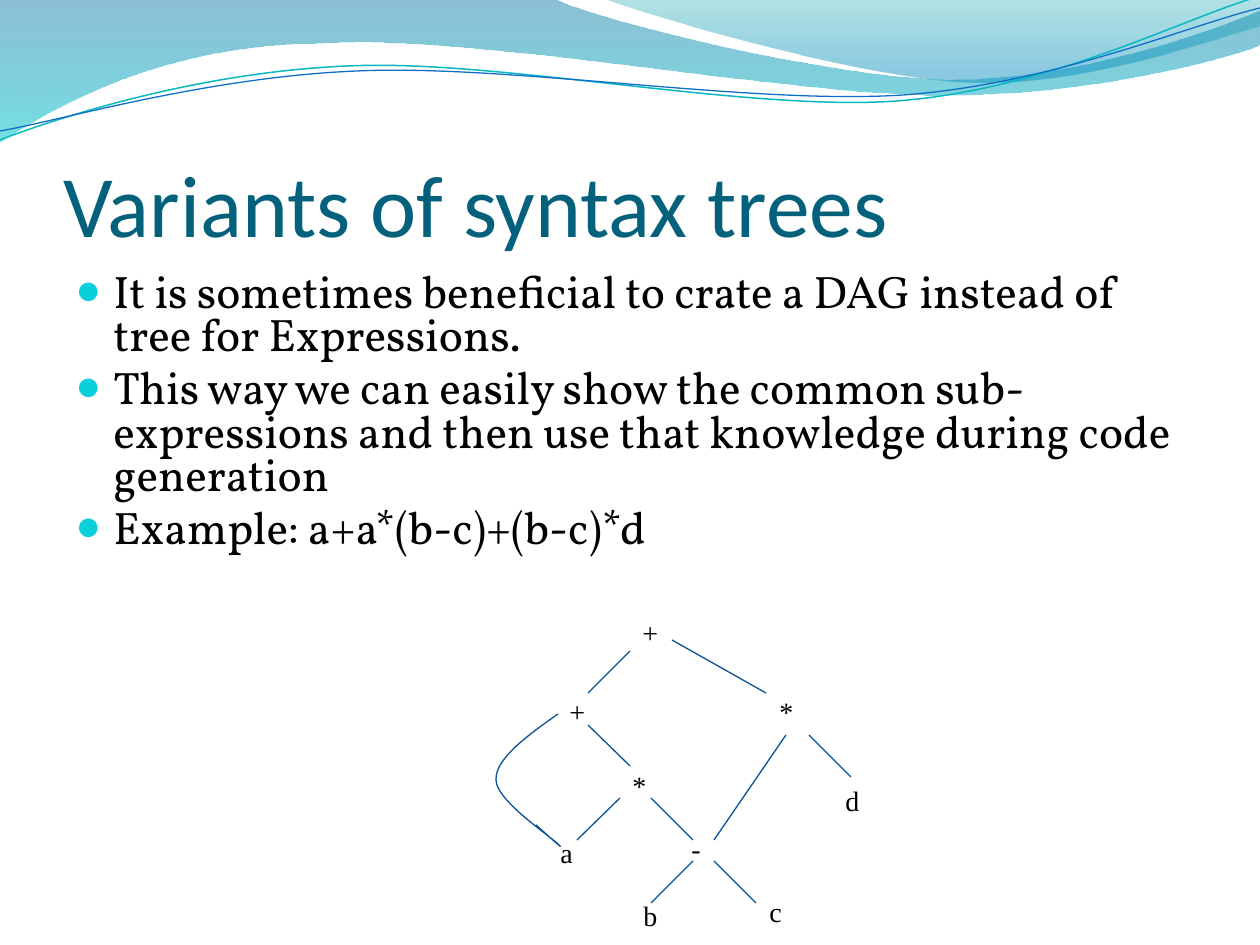
from math import cos, radians, sin

from lxml.etree import SubElement
from pptx import Presentation
from pptx.dml.color import RGBColor
from pptx.enum.shapes import MSO_CONNECTOR
from pptx.enum.text import MSO_ANCHOR, MSO_AUTO_SIZE as AutoSize, PP_ALIGN
from pptx.oxml.ns import qn
from pptx.util import Emu, Pt

EMU_PER_PX = 914400 / 126


def px(length):
    return Emu(round(length * EMU_PER_PX))


def rgb(hex_string):
    return RGBColor.from_string(hex_string)


def turn(point, centre, degrees):
    dx, dy = point[0] - centre[0], point[1] - centre[1]
    c, s = cos(radians(degrees)), sin(radians(degrees))
    return centre[0] + c * dx - s * dy, centre[1] + s * dx + c * dy


class SlideBuilder:
    TITLE = ("Calibri", 50, "04617B")
    BODY = ("Vollkorn", 26, "000000")
    NODE = ("Times New Roman", 16, "000000")
    EDGE = "095295"
    BULLET = "0BD0D9"

    def __init__(self, slide):
        self.slide = slide
        self.shapes = slide.shapes

    def style(self, paragraph, look):
        font_name, size, colour = look
        for run in paragraph.runs:
            run.font.name = font_name
            run.font.size = Pt(size)
            run.font.color.rgb = rgb(colour)

    def title(self, text, *box):
        heading = self.shapes.title
        heading.element.getparent().append(heading.element)
        heading.left, heading.top, heading.width, heading.height = map(px, box)
        frame = heading.text_frame
        frame.text = text
        frame.auto_size = AutoSize.NONE
        frame.vertical_anchor = MSO_ANCHOR.BOTTOM
        frame.margin_left = frame.margin_right = frame.margin_bottom = 0
        frame.margin_top = px(6)
        frame.paragraphs[0].alignment = PP_ALIGN.LEFT
        self.style(frame.paragraphs[0], self.TITLE)

    def bullets(self, points, *box):
        body = self.shapes.add_textbox(*map(px, box))
        frame = body.text_frame
        frame.word_wrap = True
        frame.text = "\n".join(points)
        for paragraph in frame.paragraphs:
            paragraph.line_spacing = 0.8
            self.style(paragraph, self.BODY)
        for properties in body.element.iter(qn("a:pPr")):
            properties.set("marL", str(px(38)))
            properties.set("indent", str(px(-38)))
            SubElement(SubElement(properties, qn("a:spcBef")), qn("a:spcPct"), val="20000")
            SubElement(SubElement(properties, qn("a:buClr")), qn("a:srgbClr"), val=self.BULLET)
            SubElement(properties, qn("a:buSzPct"), val="95000")
            SubElement(properties, qn("a:buFont"), typeface="Times New Roman")
            SubElement(properties, qn("a:buChar"), char="●")

    def node(self, symbol, left, top, width):
        frame = self.shapes.add_textbox(px(left), px(top), px(width), px(47)).text_frame
        frame.word_wrap = False
        frame.auto_size = AutoSize.SHAPE_TO_FIT_TEXT
        frame.text = symbol
        self.style(frame.paragraphs[0], self.NODE)

    def edge(self, *ends):
        line = self.shapes.add_connector(MSO_CONNECTOR.STRAIGHT, *map(px, ends))
        line.line.color.rgb = rgb(self.EDGE)
        line.line.width = Pt(0.75)
        SubElement(line.element.spPr, qn("a:effectLst"))

    def outline(self, start, segments, closed, centre=(0, 0), tilt=0):
        points = [start]
        for segment in segments:
            points.extend(zip(segment[::2], segment[1::2]))
        corners = [tuple(map(px, turn(point, centre, -tilt))) for point in points]
        builder = self.shapes.build_freeform(*corners[0])
        builder.add_line_segments(corners[1:], close=closed)
        shape = builder.convert_to_shape()
        shape.shadow.inherit = False
        shape.rotation = tilt
        steps = iter(list(shape.element.iter(qn("a:lnTo"))))
        for segment in segments:
            group = [next(steps) for _ in segment[::2]]
            if len(group) == 3:
                group[0].addprevious(bend := group[0].makeelement(qn("a:cubicBezTo")))
                for step in group:
                    bend.append(step[0])
                    step.getparent().remove(step)
        return shape

    def curve(self, start, segments, colour, width=0.75, centre=(0, 0), tilt=0):
        shape = self.outline(start, segments, False, centre, tilt)
        shape.fill.background()
        shape.line.color.rgb = rgb(colour)
        shape.line.width = Pt(width)

    def wave(self, start, segments, stops):
        shape = self.outline(start, segments, True)
        shape.line.fill.background()
        shape.fill.gradient()
        shape.fill.gradient_angle = 270
        for stop, (position, colour, _) in zip(shape.fill.gradient_stops, stops):
            stop.position = position
            stop.color.rgb = rgb(colour)
        for colour_xml, (_, _, opacity) in zip(shape.element.spPr.iter(qn("a:srgbClr")), stops):
            SubElement(colour_xml, qn("a:alpha"), val=str(opacity * 1000))


def draw_header(page):
    page.wave(
        (0, -1),
        [(554, -1), (600, 21, 837, 79, 955, 79), (1075, 79, 1207, 33, 1260, 11),
         (1261, 45), (1239, 55, 1096, 96, 940, 95), (784, 95, 481, 35, 324, 43),
         (163, 44, 58, 105, -1, 142), (0, -1)],
        [(0, "0074A1", 45), (1, "00C6CF", 55)],
    )
    page.wave(
        (604, -1),
        [(641, 14, 859, 78, 969, 82), (1079, 87, 1211, 40, 1260, 26),
         (1260, 0), (604, -1)],
        [(0, "00A1A9", 30), (0.8, "008BBF", 45)],
    )
    page.curve(
        (0, 140),
        [(60, 117, 199, 72, 349, 66), (498, 59, 747, 112, 898, 101),
         (1050, 89, 1182, 19, 1257, -3)],
        "0AB8BF", 0.85, (629, 72), -2.7,
    )
    page.curve(
        (0, 131),
        [(59, 121, 207, 77, 357, 71), (508, 64, 752, 105, 903, 95),
         (1053, 84, 1186, 26, 1260, 8)],
        "0F6FC6", 0.75, (629, 74), -2.7,
    )


def draw_dag(page):
    nodes = [
        ("+", 630, 609, 42), ("+", 557, 688, 42), ("*", 767, 688, 39),
        ("*", 620, 762, 39), ("-", 679, 825, 35), ("b", 631, 892, 39),
        ("c", 757, 888, 38), ("a", 548, 829, 38), ("d", 833, 777, 39),
    ]
    edges = [
        (630, 651, 588, 693), (620, 798, 577, 840), (651, 798, 693, 840),
        (588, 725, 630, 766), (672, 640, 766, 693), (786, 735, 714, 840),
        (693, 861, 651, 903), (714, 861, 756, 903), (809, 735, 851, 777),
    ]
    for node in nodes:
        page.node(*node)
    for edge in edges:
        page.edge(*edge)
    page.curve(
        (558, 714),
        [(527, 736, 495, 759, 496, 780), (496, 801, 553, 838, 559, 845),
         (567, 853, 536, 825, 536, 825), (536, 825)],
        page.EDGE,
    )


def main():
    deck = Presentation()
    deck.slide_width, deck.slide_height = px(1260), px(945)
    page = SlideBuilder(deck.slides.add_slide(deck.slide_layouts[5]))
    draw_header(page)
    page.title("Variants of syntax trees", 63, 97, 1134, 158)
    page.bullets(
        ["It is sometimes beneficial to crate a DAG instead of tree for Expressions.",
         "This way we can easily show the common sub-expressions and then use that "
         "knowledge during code generation",
         "Example: a+a*(b-c)+(b-c)*d"],
        63, 267, 1134, 343,
    )
    draw_dag(page)
    deck.save("out.pptx")


if __name__ == "__main__":
    main()
